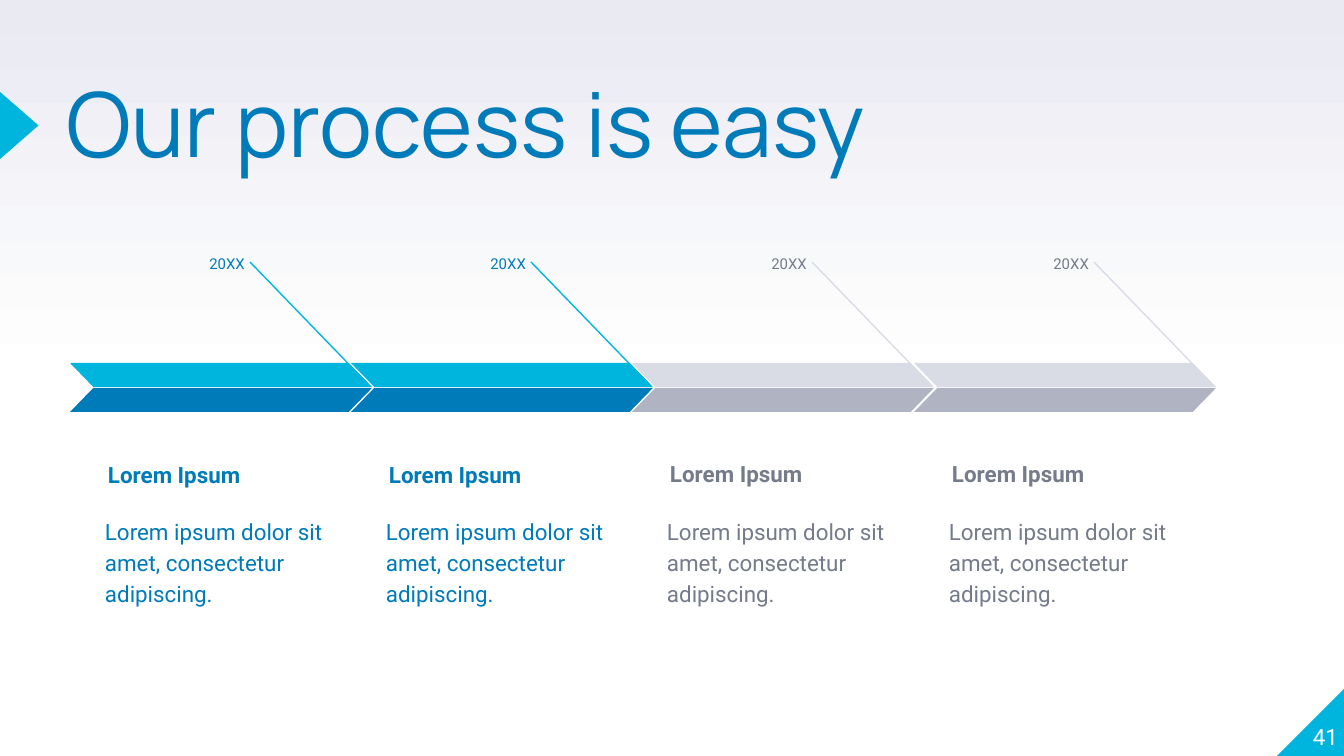
import copy

import pptx
import pptx.dml.color
import pptx.enum.shapes
import pptx.enum.text
import pptx.oxml.ns
import pptx.oxml.xmlchemy
import pptx.util

RGB = pptx.dml.color.RGBColor
SHAPE = pptx.enum.shapes.MSO_SHAPE
ALIGN = pptx.enum.text.PP_ALIGN
ANCHOR = pptx.enum.text.MSO_ANCHOR

CYAN = RGB(0x00, 0xB5, 0xDD)
BLUE = RGB(0x00, 0x7B, 0xB9)
SILVER = RGB(0xDA, 0xDC, 0xE5)
GREY = RGB(0xB0, 0xB3, 0xC1)
SLATE = RGB(0x75, 0x7B, 0x89)
MIST = RGB(0xE9, 0xEA, 0xF2)
WHITE = RGB(0xFF, 0xFF, 0xFF)

WIDTH, HEIGHT = 1344, 756
PX = pptx.util.Inches(10) / WIDTH
PAD = 13

DONE = (CYAN, BLUE, BLUE)
PLANNED = (SILVER, GREY, SLATE)
BODY = "Lorem ipsum dolor sit amet, consectetur adipiscing."
STEPS = [
    ("20XX", "Lorem Ipsum", BODY, DONE, 427),
    ("20XX", "Lorem Ipsum", BODY, DONE, 427),
    ("20XX", "Lorem Ipsum", BODY, PLANNED, 426),
    ("20XX", "Lorem Ipsum", BODY, PLANNED, 426),
]


def emu(*lengths):
    return [pptx.util.Emu(round(n * PX)) for n in lengths]


def add_text(shapes, box, text, size, color, font="Roboto", bold=False, pad=0,
             align=ALIGN.LEFT, anchor=ANCHOR.TOP, spacing=1.0, after=0):
    tf = shapes.add_textbox(*emu(*box)).text_frame
    tf.word_wrap = True
    tf.vertical_anchor = anchor
    tf.margin_left, tf.margin_top, tf.margin_right, tf.margin_bottom = emu(*[pad] * 4)
    p = tf.paragraphs[0]
    p.alignment = align
    p.line_spacing = spacing
    p.space_after = pptx.util.Pt(after)
    r = p.add_run()
    r.text = text
    r.font.name = font
    r.font.size = pptx.util.Pt(size)
    r.font.bold = bold
    r.font.color.rgb = color


def add_block(shapes, kind, box, color, flip=False):
    sp = shapes.add_shape(kind, *emu(*box))
    sp.shadow.inherit = False
    sp.fill.solid()
    sp.fill.fore_color.rgb = color
    sp.line.fill.background()
    if flip:
        sp.element.spPr.find(pptx.oxml.ns.qn("a:xfrm")).set("flipH", "1")
    return sp


def add_line(shapes, ends, color):
    line = shapes.add_connector(pptx.enum.shapes.MSO_CONNECTOR.STRAIGHT, *emu(*ends))
    line.line.color.rgb = color
    line.line.width = pptx.util.Pt(0.75)
    line.element.spPr.append(pptx.oxml.xmlchemy.OxmlElement("a:effectLst"))


def paint_background(s):
    fill = s.background.fill
    fill.gradient()
    fill.gradient_angle = 90
    stops = s.element.find(".//" + pptx.oxml.ns.qn("a:gsLst"))
    stops.insert(1, copy.deepcopy(stops[0]))
    for stop, position, color in zip(fill.gradient_stops, (0, 0.5, 1), (WHITE, WHITE, MIST)):
        stop.position = position
        stop.color.rgb = color


def add_title(s, x, y, text):
    marker = add_block(s.shapes, SHAPE.ISOSCELES_TRIANGLE, (x - 82, y + 17, 68, 39), CYAN)
    marker.rotation = 90
    add_text(s.shapes, (x, y, 829, 159), text, 48, BLUE, font="Manrope", spacing=0.8)


def add_page_corner(s, right, bottom, number):
    add_block(s.shapes, SHAPE.RIGHT_TRIANGLE, (right - 67, bottom - 69, 69, 69), CYAN, flip=True)
    add_text(s.shapes, (right - 73, bottom - 75, 67, 69), number, 12, WHITE,
             align=ALIGN.RIGHT, anchor=ANCHOR.BOTTOM)


def add_step(s, x, y, step):
    """Place one step with its arrow's top left corner at (x, y)."""
    year, heading, body, (light, dark, ink), heading_y = step
    shapes = s.shapes.add_group_shape().shapes
    add_text(shapes, (x + 86, y - 121, 102, 39), year, 8, ink, pad=PAD,
             align=ALIGN.RIGHT, spacing=1.15, after=16)
    add_text(shapes, (x + 25, heading_y, 247, 74), heading, 12, ink, bold=True, pad=PAD,
             anchor=ANCHOR.BOTTOM, spacing=1.15)
    add_text(shapes, (x + 22, y + 138, 254, 121), body, 12, ink, pad=PAD,
             spacing=1.15, after=16)
    add_line(shapes, (x + 180, y - 101, x + 298, y + 21), light)
    for top, color, flip in ((y, light, True), (y + 25, dark, False)):
        half = add_block(shapes, SHAPE.PARALLELOGRAM, (x, top, 302, 24), color, flip)
        half.adjustments[0] = 0.97


def add_timeline(s, x, y, span, steps):
    """Spread the steps evenly, with span from the first arrow to the last."""
    for i, step in enumerate(steps):
        add_step(s, x + span * i // (len(steps) - 1), y, step)


def main():
    prs = pptx.Presentation()
    prs.slide_width, prs.slide_height = emu(WIDTH, HEIGHT)
    s = prs.slides.add_slide(prs.slide_layouts[6])
    paint_background(s)
    add_page_corner(s, WIDTH, HEIGHT, "41")
    add_title(s, 67, 89, "Our process is easy")
    add_timeline(s, 70, 363, 844, STEPS)
    prs.save("out.pptx")


if __name__ == "__main__":
    main()
